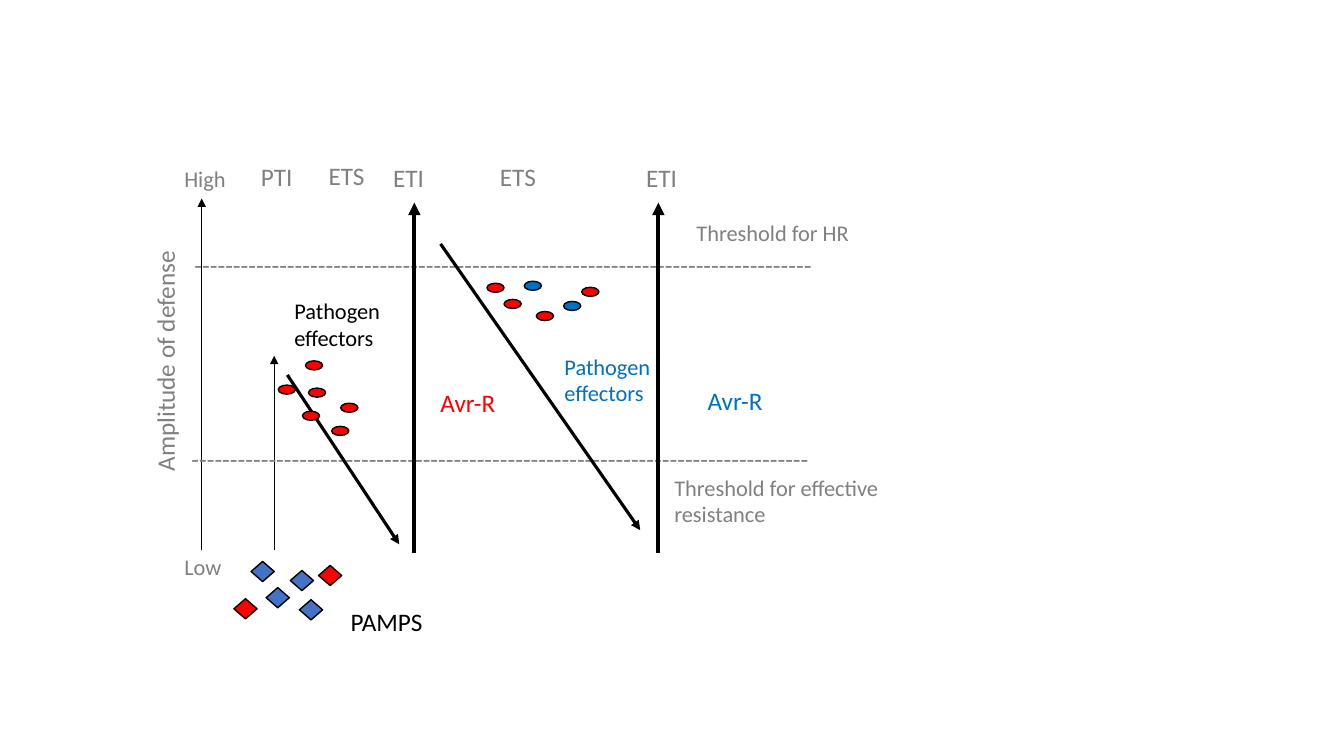
from lxml.etree import SubElement
from pptx import Presentation
from pptx.dml.color import RGBColor
from pptx.enum.shapes import MSO_CONNECTOR, MSO_SHAPE
from pptx.enum.text import MSO_AUTO_SIZE
from pptx.oxml.ns import qn
from pptx.util import Inches, Pt

BLACK, GREY, RED = "000000", "808080", "FF0000"
BLUE, STEEL = "0070C0", "4472C4"


def color(code):
    return RGBColor.from_string(code)


def assign(target, values):
    for name, value in values.items():
        setattr(target, name, value)


class Sketch:
    """Draws the parts of the diagram into one group on a slide."""

    font = "Calibri"
    edge = 1

    def __init__(self, slide):
        self.shapes = slide.shapes.add_group_shape().shapes

    def text(self, words, left, top, width, height=0.4, size=18, ink=GREY, turn=0):
        box = self.shapes.add_textbox(*map(Inches, (left, top, width, height)))
        box.rotation = turn
        frame = box.text_frame
        assign(frame, {"word_wrap": True, "auto_size": MSO_AUTO_SIZE.SHAPE_TO_FIT_TEXT})
        run = frame.paragraphs[0].add_run()
        run.text = words
        assign(run.font, {"name": self.font, "size": Pt(size)})
        run.font.color.rgb = color(ink)

    def arrow(self, start, end, weight):
        line = self.shapes.add_connector(
            MSO_CONNECTOR.STRAIGHT, *map(Inches, (*start, *end)))
        line.line.width = Pt(weight)
        line.line.color.rgb = color(BLACK)
        SubElement(line.line._get_or_add_ln(), qn("a:tailEnd"), type="triangle")
        SubElement(line._element.spPr, qn("a:effectLst"))

    def marks(self, kind, size, fill, spots):
        """Draw one small outlined shape at each spot."""
        for spot in spots:
            mark = self.shapes.add_shape(kind, *map(Inches, (*spot, *size)))
            mark.shadow.inherit = False
            mark.fill.solid()
            mark.fill.fore_color.rgb = color(fill)
            mark.line.color.rgb = color(BLACK)
            mark.line.width = Pt(self.edge)


def main():
    deck = Presentation()
    assign(deck, {"slide_width": Inches(13.33), "slide_height": Inches(7.5)})
    art = Sketch(deck.slides.add_slide(deck.slide_layouts[6]))

    # Axis, defense and effector arrows
    for x, top in ((2, 1.97), (2.72, 3.53)):
        art.arrow((x, 5.46), (x, top), 0.5)
    for left, top, width in ((1.83, 2.42, 6.32), (1.8, 4.35, 6.67)):
        art.text("-" * 80, left, top, width)
    for x in (4.11, 6.53):
        art.arrow((x, 5.49), (x, 2.01), 3)
    art.arrow((2.85, 3.72), (3.96, 5.4), 2.25)
    art.arrow((4.37, 2.42), (6.35, 5.26), 2.25)

    # Axis and threshold labels
    for words, *place in (
        ("Low", 1.73, 5.44, 1.11, 0.37),
        ("High", 1.73, 1.59, 0.69, 0.37),
        ("Threshold for HR", 6.81, 2.12, 3.4, 0.37),
        ("Threshold for effective resistance", 6.59, 4.65, 3.02, 0.64),
    ):
        art.text(words, *place, size=16)
    art.text("Amplitude of defense", -0.12, 2.82, 3.51, turn=270)

    # Phases
    for words, *place in (
        ("PTI", 2.49, 1.55, 0.67),
        ("ETS", 3.16, 1.54, 0.59),
        ("ETI", 3.8, 1.56, 0.61),
        ("ETS", 4.86, 1.55, 0.59),
        ("ETI", 6.31, 1.56, 0.61),
    ):
        art.text(words, *place)

    # Molecule labels
    for left, top, ink in ((2.82, 2.9, BLACK), (5.5, 3.45, BLUE)):
        art.text("Pathogen effectors", left, top, 1.31, 0.64, 16, ink)
    for left, top, ink in ((6.92, 3.77, BLUE), (4.27, 3.79, RED)):
        art.text("Avr-R", left, top, 1.23, ink=ink)
    art.text("PAMPS", 3.38, 5.97, 1.03, ink=BLACK)

    # Effectors and PAMPs
    oval, gem = (0.17, 0.09), (0.23, 0.2)
    for kind, size, fill, spots in (
        (MSO_SHAPE.OVAL, oval, RED, (
            (3.03, 3.58), (3.06, 3.85), (2.76, 3.82), (3, 4.08), (3.38, 4), (3.29, 4.23),
            (4.83, 2.81), (5, 2.97), (5.32, 3.09), (5.77, 2.85))),
        (MSO_SHAPE.OVAL, oval, BLUE, ((5.2, 2.79), (5.59, 2.99))),
        (MSO_SHAPE.DIAMOND, gem, STEEL, (
            (2.49, 5.57), (2.64, 5.83), (2.88, 5.66), (2.97, 5.95))),
        (MSO_SHAPE.DIAMOND, gem, RED, ((3.16, 5.61), (2.32, 5.94))),
    ):
        art.marks(kind, size, fill, spots)

    deck.save("out.pptx")


if __name__ == "__main__":
    main()
